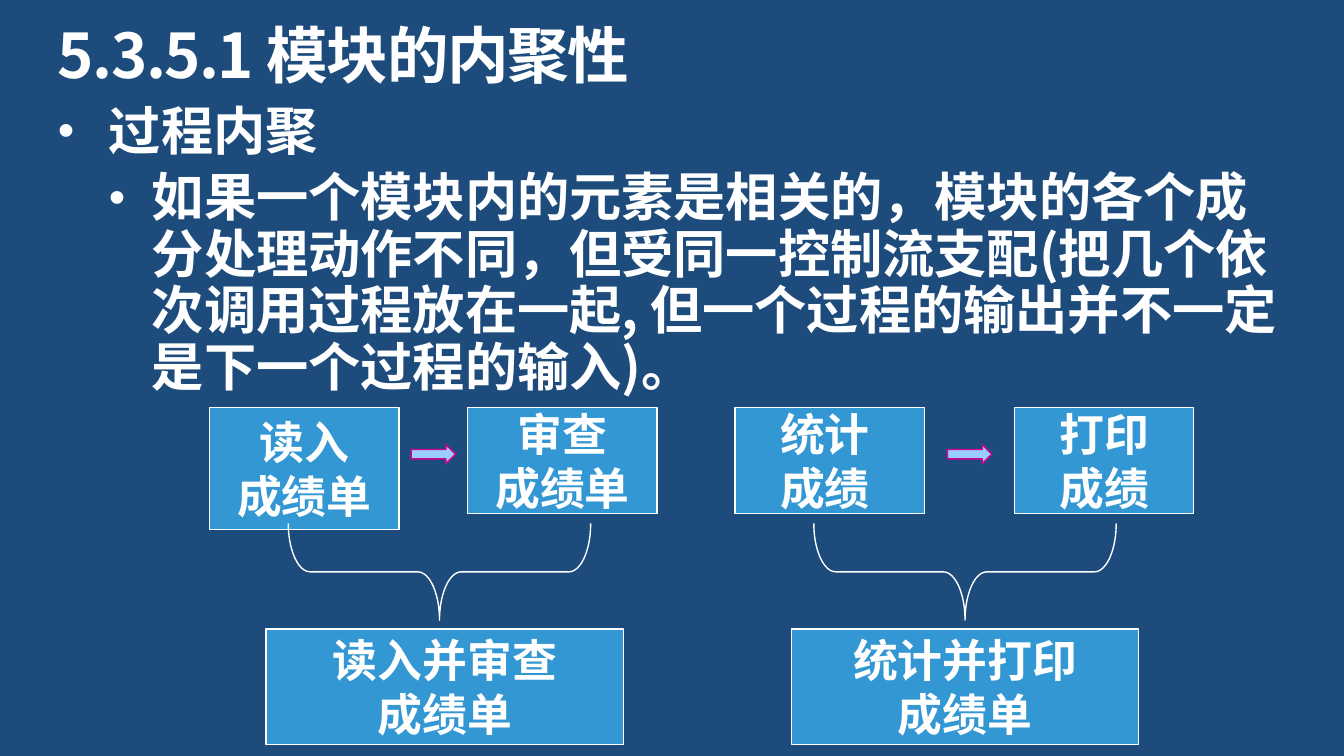
from dataclasses import dataclass

from lxml.etree import SubElement
from pptx import Presentation
from pptx.dml.color import RGBColor
from pptx.enum.shapes import MSO_SHAPE as Shape
from pptx.enum.text import MSO_ANCHOR as Anchor, PP_ALIGN as Align
from pptx.oxml.ns import qn
from pptx.util import Inches, Pt


@dataclass(frozen=True)
class Theme:
    background: RGBColor = RGBColor.from_string("1D4C7C")
    white: RGBColor = RGBColor.from_string("FFFFFF")
    box: RGBColor = RGBColor.from_string("3397D3")
    arrow: RGBColor = RGBColor.from_string("99CCFF")
    arrow_line: RGBColor = RGBColor.from_string("D60093")
    chinese_font: str = "Noto Sans CJK SC"
    box_font: str = "Roboto"
    title_size: float = 33
    body_size: float = 28
    box_size: float = 24
    line_width: float = 0.75


THEME = Theme()


def add_run(paragraph, text, size, font=THEME.chinese_font):
    run = paragraph.add_run()
    run.text = text
    run.font.size = Pt(size)
    run.font.name = font
    run.font.bold = True
    run.font.color.rgb = THEME.white
    SubElement(run.font._element, qn("a:ea"), typeface=THEME.chinese_font)
    return run


def clear_margins(frame):
    frame.margin_left = frame.margin_right = 0
    frame.margin_top = frame.margin_bottom = 0
    frame.word_wrap = True
    frame.vertical_anchor = Anchor.TOP


def set_title(slide, text):
    title = slide.shapes.title
    title.left, title.top = Inches(0.43), Inches(0.19)
    title.width, title.height = Inches(9.15), Inches(0.5)
    clear_margins(title.text_frame)
    paragraph = title.text_frame.paragraphs[0]
    paragraph.alignment = Align.LEFT
    paragraph.line_spacing = 0.9
    run = add_run(paragraph, text, THEME.title_size)
    run.font._element.set("spc", "-80")


def add_bullets(slide, items):
    """Each item is (level, left margin, hanging indent, text)."""
    body = slide.shapes.add_textbox(Inches(0.43), Inches(0.78), Inches(9.15), Inches(2.21))
    frame = body.text_frame
    clear_margins(frame)
    for index, (level, margin, hanging, text) in enumerate(items):
        paragraph = frame.add_paragraph() if index else frame.paragraphs[0]
        paragraph.level = level
        paragraph.line_spacing = 0.9
        if index:
            paragraph.space_before = Pt(0.2 * THEME.body_size)
        properties = paragraph._p.get_or_add_pPr()
        properties.set("marL", str(Inches(margin)))
        properties.set("indent", str(-Inches(hanging)))
        SubElement(properties, qn("a:buSzPct"), val="90000")
        SubElement(properties, qn("a:buFont"), typeface="Arial")
        SubElement(properties, qn("a:buChar"), char="•")
        add_run(paragraph, text, THEME.body_size)


def add_outlined(group, kind, left, top, width, height, fill=None, line=THEME.white):
    shape = group.shapes.add_shape(
        kind, Inches(left), Inches(top), Inches(width), Inches(height))
    shape.shadow.inherit = False
    if fill is None:
        shape.fill.background()
    else:
        shape.fill.solid()
        shape.fill.fore_color.rgb = fill
    shape.line.color.rgb = line
    shape.line.width = Pt(THEME.line_width)
    return shape


def add_box(group, left, top, width, height, lines, font=THEME.box_font):
    box = add_outlined(group, Shape.RECTANGLE, left, top, width, height, THEME.box)
    frame = box.text_frame
    frame.word_wrap = False
    frame.vertical_anchor = Anchor.MIDDLE
    for index, text in enumerate(lines):
        paragraph = frame.add_paragraph() if index else frame.paragraphs[0]
        paragraph.alignment = Align.CENTER
        add_run(paragraph, text, THEME.box_size, font)


def add_brace(group, left):
    brace = add_outlined(group, Shape.RIGHT_BRACE, left, 3.13, 0.72, 2.25)
    brace.rotation = 90
    brace.adjustments[0] = 0.225
    brace.adjustments[1] = 0.5


def add_arrow(group, left):
    arrow = add_outlined(group, Shape.RIGHT_ARROW, left, 3.31, 0.33, 0.14,
                         THEME.arrow, THEME.arrow_line)
    arrow.adjustments[0] = 0.5
    arrow.adjustments[1] = 0.506


def add_process(slide, boxes, brace_left, arrow_left):
    """Two steps joined by an arrow, with a brace down to the merged module."""
    group = slide.shapes.add_group_shape()
    for box in boxes:
        add_box(group, *box)
    add_brace(group, brace_left)
    add_arrow(group, arrow_left)


def main():
    # Widescreen 16:9 slide
    presentation = Presentation()
    presentation.slide_width = Inches(10)
    presentation.slide_height = Inches(10) * 9 // 16
    slide = presentation.slides.add_slide(presentation.slide_layouts[5])
    slide.background.fill.solid()
    slide.background.fill.fore_color.rgb = THEME.background

    # Heading and definition
    set_title(slide, "5.3.5.1 模块的内聚性")
    add_bullets(slide, [
        (0, 0.38, 0.38, "过程内聚"),
        (1, 0.7, 0.32,
         "如果一个模块内的元素是相关的，模块的各个成分处理动作不同，但受同一控制流支配"
         "(把几个依次调用过程放在一起, 但一个过程的输出并不一定是下一个过程的输入)。"),
    ])

    # Step row and merged-module row
    step_top, step_height = 3.03, 0.79
    module_top, module_height = 4.68, 0.86
    add_process(slide, [
        (1.56, step_top, 1.41, 0.91, ["读入", "成绩单"], THEME.chinese_font),
        (3.48, step_top, 1.41, step_height, ["审查", "成绩单"]),
        (1.98, module_top, 2.66, module_height, ["读入并审查", "成绩单"]),
    ], brace_left=2.91, arrow_left=3.06)
    add_process(slide, [
        (5.47, step_top, 1.41, step_height, ["统计 ", "成绩 "]),
        (7.55, step_top, 1.33, step_height, ["打印", "成绩"]),
        (5.89, module_top, 2.58, module_height, ["统计并打印", "成绩单"]),
    ], brace_left=6.82, arrow_left=7.05)

    presentation.save("out.pptx")


if __name__ == "__main__":
    main()
